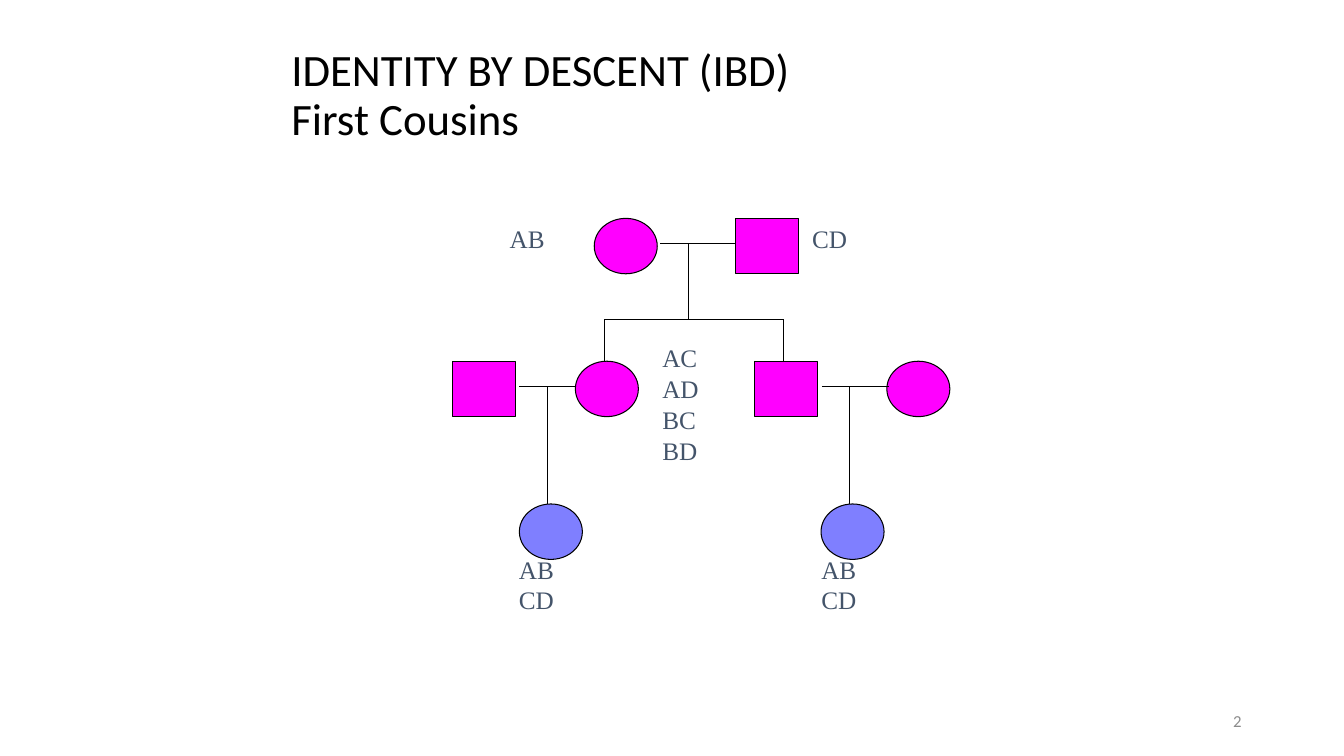
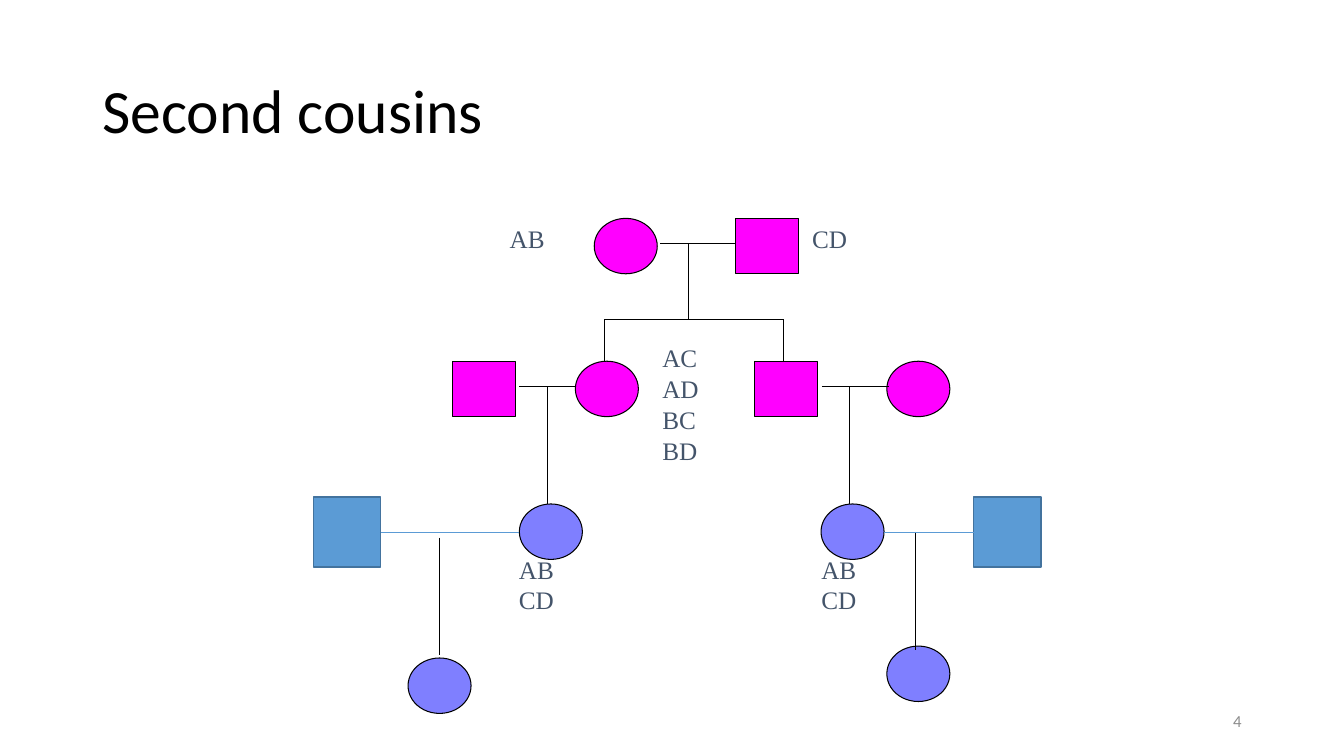
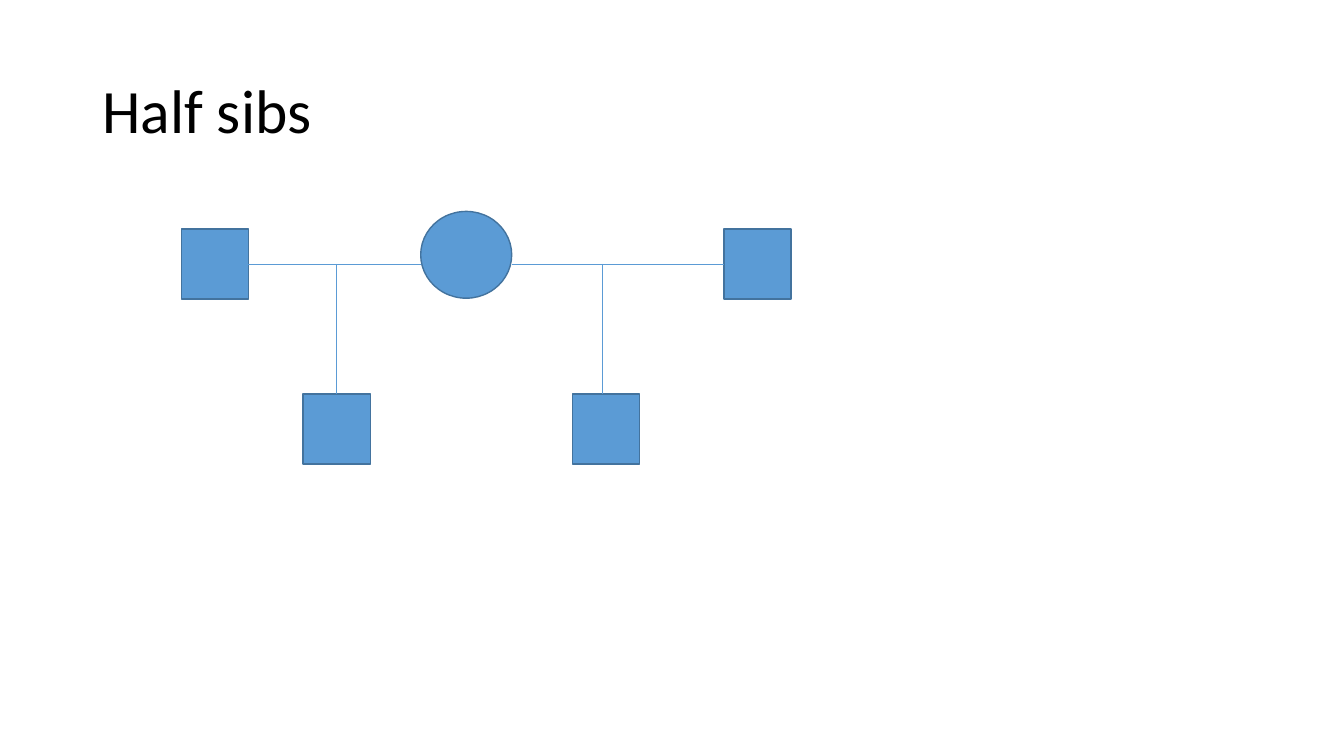
from lxml import etree
from pptx import Presentation
from pptx.dml.color import RGBColor
from pptx.enum import shapes, text
from pptx.oxml import ns
from pptx.util import Pt

COLOURS = {
    "black": "000000", "number": "8C8C8C", "label": "44546A",
    "magenta": "FF00FF", "violet": "0000FF",
    "blue": "5B9BD5", "edge": "43739E",
}
# Person style: fill, opacity in percent, outline, outline width
STYLES = {
    "ancestor": ("magenta", 100, "black", 0.75),
    "cousin": ("violet", 50, "black", 0.75),
    "relative": ("blue", 100, "edge", 1),
}
LINES = {"pedigree": ("black", 0.75), "blue": ("blue", 0.5)}
KINDS = {"male": shapes.MSO_SHAPE.RECTANGLE, "female": shapes.MSO_SHAPE.OVAL}
PERSON = (45, 39.6)
SQUARE = (48, 50)
ROWS = [156 + 102 * generation for generation in range(3)]
MATES = [top + 18 for top in ROWS]  # height of the line between two mates
SIBLINGS = 228

# People: kind, style, left, top, size
COUSIN_PEOPLE = [
    ("male", "ancestor", 323, ROWS[1], PERSON),
    ("female", "ancestor", 411, ROWS[1], PERSON),
    ("female", "cousin", 371, ROWS[2], PERSON),
    ("female", "ancestor", 633.5, ROWS[1], PERSON),
    ("female", "ancestor", 424.5, ROWS[0], PERSON),
    ("male", "ancestor", 525.5, ROWS[0], PERSON),
    ("male", "ancestor", 539, ROWS[1], PERSON),
    ("female", "cousin", 586.5, ROWS[2], PERSON),
]
# Labels: paragraphs, left, top, width, height, vertical inset, line spacing
COUSIN_LABELS = [
    (["AB"], 357, 156, 81, 29, 3.6, 1),
    (["AC", "AD", "BC", "BD"], 466, 252, 60.5, 85, 0, 0.6),
    (["CD"], 573, 156, 81, 29, 3.6, 1),
    (["ABCD"], 363.6, 396, 40.3, 44, 0, 1),
    (["ABCD"], 579.6, 396, 40.3, 44, 0, 1),
]
# Lines: style, start x, start y, end x, end y
COUSIN_LINES = [
    ("pedigree", 471.5, MATES[0], 525.5, MATES[0]),
    ("pedigree", 431.5, SIBLINGS, 431.5, ROWS[1]),
    ("pedigree", 559.5, SIBLINGS, 559.5, ROWS[1]),
    ("pedigree", 431.5, SIBLINGS, 559.5, SIBLINGS),
    ("pedigree", 492, MATES[0], 492, SIBLINGS),
    ("pedigree", 371, MATES[1], 411, MATES[1]),
    ("pedigree", 587, MATES[1], 635, MATES[1]),
    ("pedigree", 391, MATES[1], 391, ROWS[2]),
    ("pedigree", 607, MATES[1], 607, ROWS[2]),
]
WIDE_TITLE = (66, 28.8, 828, 104.4, 44)

SLIDES = [
    {
        "title": "IDENTITY BY DESCENT (IBD)\vFirst Cousins",
        "title_place": (201, 24, 570, 90, 32),
        "number": "2",
        "people": COUSIN_PEOPLE,
        "labels": COUSIN_LABELS,
        "lines": COUSIN_LINES,
    },
    {
        "title": "Second cousins",
        "title_place": WIDE_TITLE,
        "number": "4",
        "people": COUSIN_PEOPLE + [
            ("male", "relative", 224, 355, SQUARE),
            ("male", "relative", 695.5, 355, SQUARE),
            ("female", "cousin", 291.5, 470, PERSON),
            ("female", "cousin", 633.5, 461.5, PERSON),
        ],
        "labels": COUSIN_LABELS,
        "lines": COUSIN_LINES + [
            ("pedigree", 314, 384, 314, 468),
            ("pedigree", 654, 380, 654, 464),
            ("blue", 272, 380, 371, 380),
            ("blue", 631.5, 380, 695.5, 380),
        ],
    },
    {
        "title": "Half sibs",
        "title_place": WIDE_TITLE,
        "number": None,
        "people": [
            ("male", "relative", 129.5, 163.5, SQUARE),
            ("female", "relative", 300.5, 151, (65, 62)),
            ("male", "relative", 517, 163.5, SQUARE),
            ("male", "relative", 409, 281.5, SQUARE),
            ("male", "relative", 216.5, 281.5, SQUARE),
        ],
        "labels": [],
        "lines": [
            ("blue", 177.5, 188.5, 300.5, 188.5),
            ("blue", 365.5, 188.5, 517, 188.5),
            ("blue", 240.5, 188.5, 240.5, 281.5),
            ("blue", 430, 188.5, 430, 281.5),
        ],
    },
]


def colour(name):
    return RGBColor.from_string(COLOURS[name])


def add_text(slide, paragraphs, place, font, size, colour_name, spacing=1,
             inset=3.6, anchor=text.MSO_ANCHOR.TOP, align=text.PP_ALIGN.LEFT):
    box = slide.shapes.add_textbox(*map(Pt, place))
    frame = box.text_frame
    frame.word_wrap = True
    frame.vertical_anchor = anchor
    frame.margin_top = frame.margin_bottom = Pt(inset)
    frame.text = "\n".join(paragraphs)
    for index, paragraph in enumerate(frame.paragraphs):
        paragraph.alignment = align
        paragraph.line_spacing = spacing
        if index:
            paragraph.space_before = Pt(9.3)
        for run in paragraph.runs:
            run.font.name = font
            run.font.size = Pt(size)
            run.font.color.rgb = colour(colour_name)


def add_person(slide, kind, style, left, top, size):
    fill, opacity, outline, width = STYLES[style]
    person = slide.shapes.add_shape(KINDS[kind], *map(Pt, (left, top, *size)))
    person.shadow.inherit = False
    person.fill.solid()
    person.fill.fore_color.rgb = colour(fill)
    if opacity < 100:
        value = person.fill._xPr.find(".//" + ns.qn("a:srgbClr"))
        etree.SubElement(value, ns.qn("a:alpha"), val=str(opacity * 1000))
    person.line.color.rgb = colour(outline)
    person.line.width = Pt(width)
    return person


def find_side(males, x, y):
    """Return the male and the side whose middle lies at the point."""
    for male in males:
        middle_x = male.left + male.width // 2
        middle_y = male.top + male.height // 2
        sides = [(middle_x, male.top), (male.left, middle_y),
                 (middle_x, male.top + male.height),
                 (male.left + male.width, middle_y)]
        for site, (side_x, side_y) in enumerate(sides):
            if max(abs(side_x - Pt(x)), abs(side_y - Pt(y))) < Pt(0.25):
                return male, site
    return None


def add_line(slide, males, style, x1, y1, x2, y2):
    line = slide.shapes.add_connector(
        shapes.MSO_CONNECTOR.STRAIGHT, *map(Pt, (x1, y1, x2, y2)))
    colour_name, width = LINES[style]
    line.line.color.rgb = colour(colour_name)
    line.line.width = Pt(width)
    etree.SubElement(line._element.spPr, ns.qn("a:effectLst"))
    for join, x, y in ((line.begin_connect, x1, y1), (line.end_connect, x2, y2)):
        side = find_side(males, x, y)
        if side:
            join(*side)


def build_slide(presentation, content):
    slide = presentation.slides.add_slide(presentation.slide_layouts[6])
    # Title and slide number
    *place, size = content["title_place"]
    add_text(slide, [content["title"]], place, "Calibri", size, "black",
             spacing=0.9, anchor=text.MSO_ANCHOR.MIDDLE)
    if content["number"]:
        add_text(slide, [content["number"]], (678, 500.5, 216, 28.8), "Calibri",
                 12, "number", anchor=text.MSO_ANCHOR.MIDDLE,
                 align=text.PP_ALIGN.RIGHT)
    # Pedigree
    males = []
    for kind, *details in content["people"]:
        person = add_person(slide, kind, *details)
        if kind == "male":
            males.append(person)
    for paragraphs, *place, inset, spacing in content["labels"]:
        add_text(slide, paragraphs, place, "Times New Roman", 18, "label",
                 spacing=spacing, inset=inset)
    for line in content["lines"]:
        add_line(slide, males, *line)


def main():
    presentation = Presentation()
    presentation.slide_width = Pt(960)
    presentation.slide_height = Pt(540)
    for content in SLIDES:
        build_slide(presentation, content)
    presentation.save("out.pptx")


if __name__ == "__main__":
    main()
